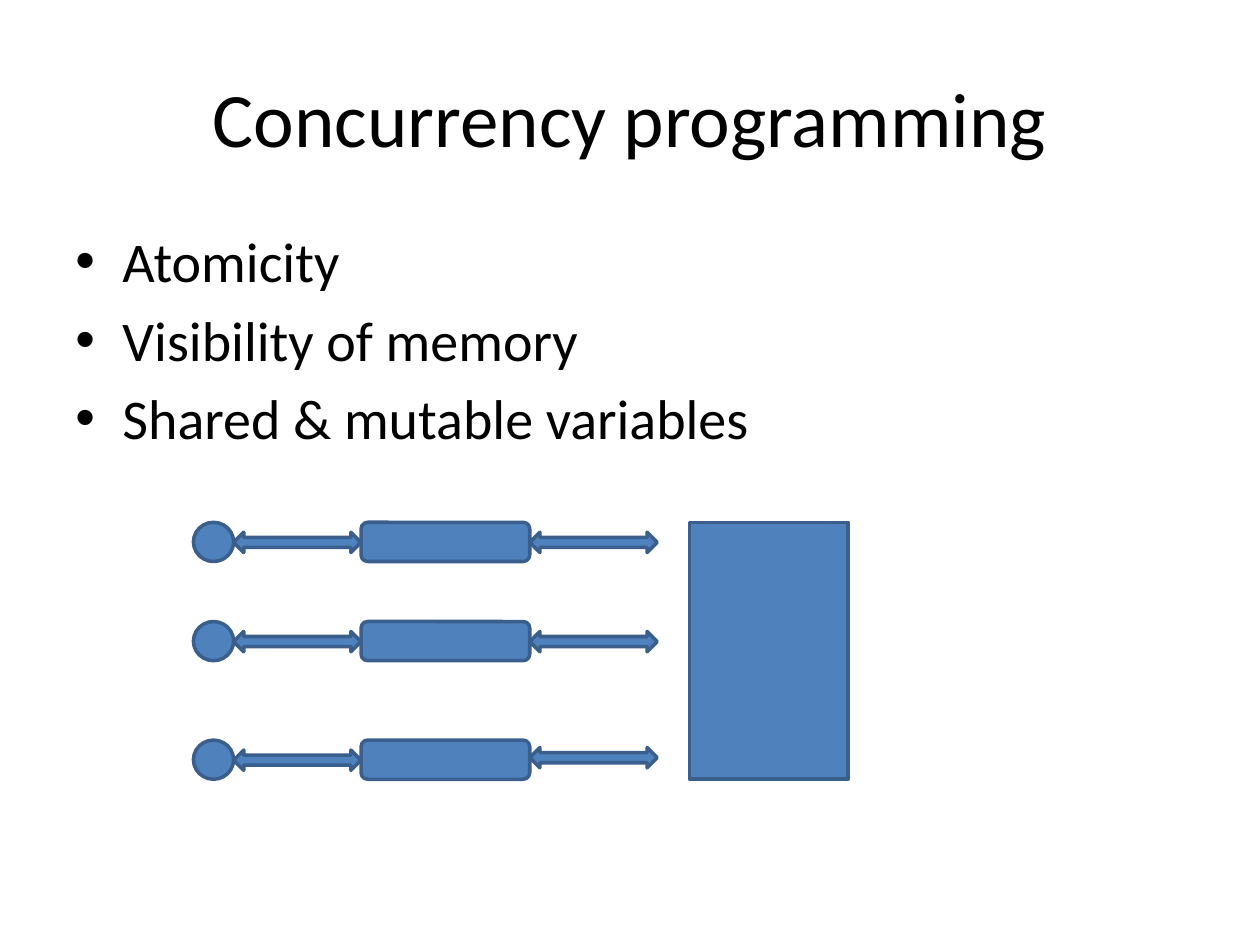
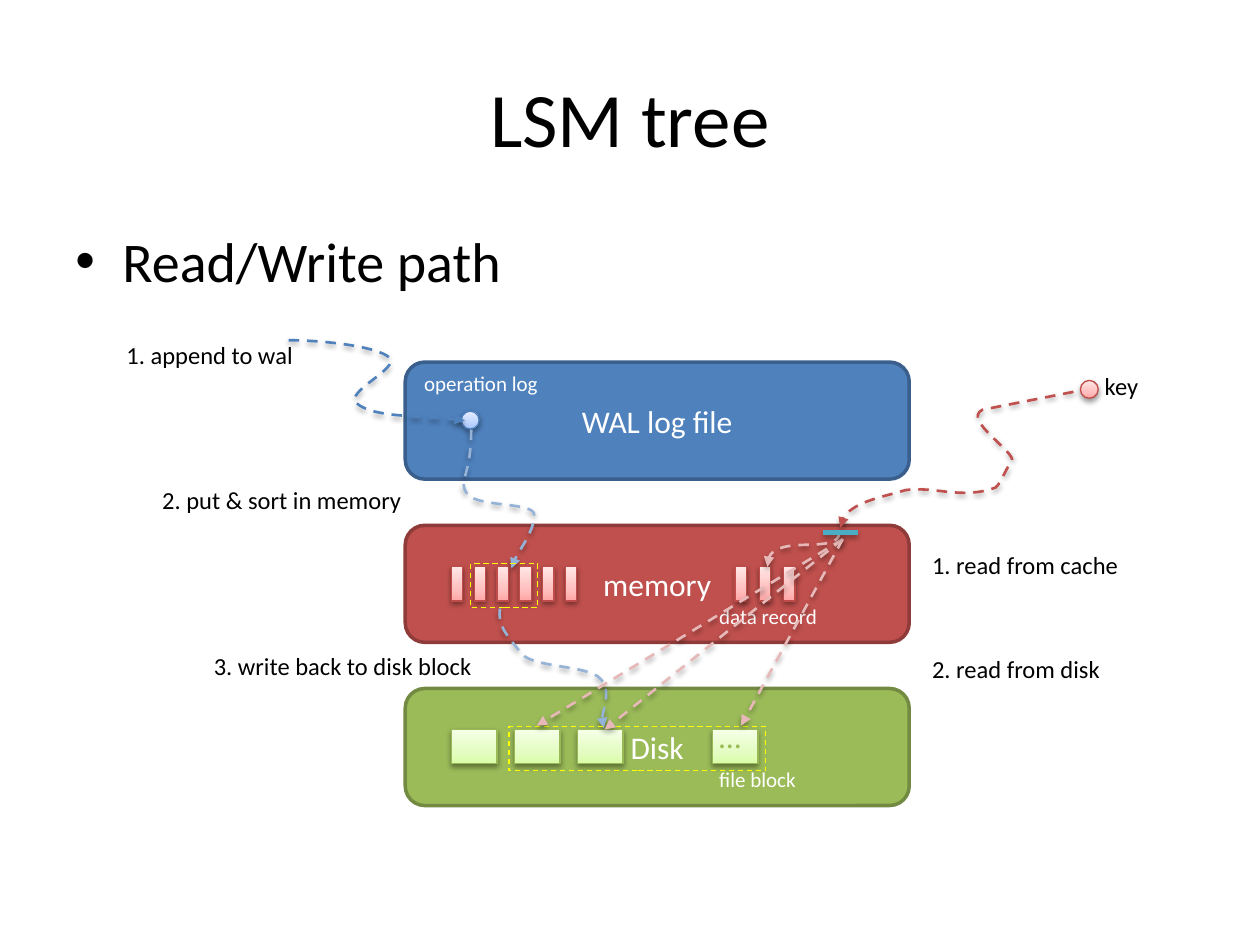
from copy import deepcopy

from lxml import etree
from pptx import Presentation
from pptx.dml.color import RGBColor
from pptx.enum.dml import MSO_LINE
from pptx.enum.shapes import MSO_CONNECTOR, MSO_SHAPE
from pptx.enum.text import MSO_ANCHOR, MSO_AUTO_SIZE, PP_ALIGN
from pptx.oxml.ns import qn
from pptx.util import Cm, Pt

RECT, ROUNDED, OVAL = MSO_SHAPE.RECTANGLE, MSO_SHAPE.ROUNDED_RECTANGLE, MSO_SHAPE.OVAL
DOUBLE_ARROW = MSO_SHAPE.LEFT_RIGHT_ARROW
STRAIGHT, DASH = MSO_CONNECTOR.STRAIGHT, MSO_LINE.DASH
CENTER, MIDDLE = PP_ALIGN.CENTER, MSO_ANCHOR.MIDDLE
FONT = "Calibri"

BLACK, WHITE, YELLOW, TEAL = "000000", "FFFFFF", "FFFF00", "4BACC6"
BLUE, RED, GREEN = "4F81BD", "C0504D", "9BBB59"
BLUE_EDGE, RED_EDGE, GREEN_EDGE = "3A5F8C", "8E3B39", "738A42"
PALE_BLUE, PALE_RED = "95B3D7", "E6B9B8"
# Gradient stops from bottom to top, then the outline
BLUE_GLOSS = (("A4C4FF", "BFD4FF", "E6EEFF"), "4B7EBC")
RED_GLOSS = (("FFA6A5", "FFC0BF", "FFE7E7"), "BF4C48")
GREEN_GLOSS = (("DAFDA7", "E4FCC2", "F5FFE7"), "98B955")
GLOSS_POSITIONS = (0, 0.35, 1)

# All places are in centimetres.
TITLE_BOX = (1.27, 0.76, 22.86, 3.18)
BULLETS_BOX = (1.27, 4.45, 22.86, 12.57)

CONCURRENCY = ("Concurrency programming",
               ["Atomicity", "Visibility of memory", "Shared & mutable variables"])
# Row top, drop of its left arrow, drop of its right arrow
THREAD_ROWS = [(10.53, 0.2, 0.2), (12.53, 0.2, 0.2), (14.92, 0.2, 0.15)]
ROW_HEIGHT = 0.79
THREAD_LEFT, THREAD_WIDTH = 3.9, 0.81
LOCAL_MEMORY_WIDTH = 3.4
ARROW_WIDTH, ARROW_HEIGHT = 2.57, 0.41
SHARED_MEMORY = (13.9, 10.53, 3.2, 5.18)

LSM = ("LSM tree", ["Read/Write path"])
LAYERS = [("WAL log file", BLUE, BLUE_EDGE), ("memory", RED, RED_EDGE),
          ("Disk", GREEN, GREEN_EDGE)]
LAYER_LEFT, LAYER_TOP, LAYER_PITCH = 8.17, 7.3, 3.29
LAYER_SIZE = (10.16, 2.36)

RECORD_TOP, RECORD_SIZE = 11.42, (0.23, 0.7)
RECORD_RUNS = [(9.1, 0.46, 6), (14.82, 0.49, 3)]  # left, pitch, count
BLOCK_TOP, BLOCK_SIZE = 14.71, (0.92, 0.69)
BLOCK_RUNS = [(9.1, 1.27, 3), (14.36, 0, 1)]
DOT_SIZE = (0.36, 0.36)
OPERATION_DOT, KEY_DOT = (9.3, 8.29), (21.78, 7.67)
SELECTIONS = [(9.49, 11.36, 1.35, 0.89), (10.26, 14.65, 5.18, 0.89)]
CACHE_MARK = (16.6, 10.73, 17.29, 10.73)

LABELS = [  # words, box, size, colour
    ("1. append to wal", (2.3, 6.73, 4.5, 1.02), 14, BLACK),
    ("2. put & sort in memory", (3.02, 9.65, 6.2, 1.02), 14, BLACK),
    ("3. write back to disk block", (4.06, 12.99, 6.63, 1.02), 14, BLACK),
    ("key", (22.02, 7.35, 1.37, 1.02), 14, BLACK),
    ("operation log", (8.3, 7.34, 3.33, 0.91), 12, WHITE),
    ("data record", (14.25, 12.04, 2.9, 0.91), 12, WHITE),
    ("file block", (14.25, 15.32, 2.39, 0.91), 12, WHITE),
    ("…", (14.25, 14.33, 1.09, 1.19), 18, GREEN),
    ("1. read from cache", (18.54, 10.96, 4.29, 0.86), 14, BLACK),
    ("2. read from disk", (18.54, 13.06, 3.91, 0.86), 14, BLACK),
]

# Colour, start, then steps: one point is straight, three are a Bézier curve
WRITE_PATHS = [
    (BLUE, (5.82, 6.86), [
        [(6.55, 6.86), (7.62, 6.99), (7.85, 7.21)],
        [(8.08, 7.42), (6.93, 7.9), (7.19, 8.13)],
        [(7.54, 8.43), (8.64, 8.36), (9.37, 8.48)]]),
    (PALE_BLUE, (9.5, 8.66), [
        [(9.5, 9.63), (9.22, 9.68), (9.42, 9.96)],
        [(9.65, 10.24), (10.8, 10.11), (10.77, 10.39)],
        [(10.77, 10.69), (10.29, 11.35), (10.31, 11.46)]]),
    (PALE_BLUE, (10.08, 12.27), [
        [(10.03, 12.6), (10.19, 12.78), (10.52, 13.18)],
        [(10.74, 13.46), (11.84, 13.41), (12.09, 13.67)],
        [(12.34, 13.92), (12.04, 14.55), (12.17, 14.68)]]),
]
DISK_READ_START = (16.99, 10.87)
DISK_READ_ENDS = [(10.82, 14.63), (12.19, 14.71), (14.94, 14.63)]
READ_PATHS = [
    (RED, (21.64, 7.9), [
        [(19.81, 8.26)],
        [(19.38, 8.46), (20.5, 9.12), (20.4, 9.3)],
        [(20.27, 9.45), (20.19, 9.73), (20.07, 9.83)],
        [(19.38, 10.08), (18.87, 9.8), (18.26, 9.88)],
        [(17.75, 10.03), (16.97, 10.16), (16.94, 10.64)]]),
    (PALE_RED, (16.92, 10.72), [[(16.94, 11.2), (15.42, 10.67), (15.47, 11.43)]]),
] + [(PALE_RED, DISK_READ_START, [[end]]) for end in DISK_READ_ENDS]


def rgb(colour):
    return RGBColor.from_string(colour)


def cm(values):
    return [Cm(value) for value in values]


def style_font(paragraph, size, colour):
    font = paragraph.font
    font.name, font.size, font.color.rgb = FONT, Pt(size), rgb(colour)


def style_line(shape, colour, width, dash=None):
    shape.line.color.rgb = rgb(colour)
    shape.line.width = Pt(width)
    if dash:
        shape.line.dash_style = dash


def add_shadow(shape, distance=1.6, opacity=38):
    effects = etree.SubElement(shape._element.spPr, qn("a:effectLst"))
    outer = etree.SubElement(effects, qn("a:outerShdw"), blurRad=str(Pt(3.1)),
                             dist=str(Pt(distance)), dir="5400000", rotWithShape="0")
    colour = etree.SubElement(outer, qn("a:srgbClr"), val=BLACK)
    etree.SubElement(colour, qn("a:alpha"), val=str(opacity * 1000))


def add_flat(slide, kind, box, fill, edge, width=2):
    shape = slide.shapes.add_shape(kind, *cm(box))
    shape.shadow.inherit = False
    if fill:
        shape.fill.solid()
        shape.fill.fore_color.rgb = rgb(fill)
    else:
        shape.fill.background()
    style_line(shape, edge, width)
    return shape


def add_glossy(slide, kind, place, size, gloss):
    """Add a small shape with a three-stop vertical gradient and a shadow."""
    colours, edge = gloss
    shape = slide.shapes.add_shape(kind, *cm(place + size))
    shape.fill.gradient()
    shape.fill.gradient_angle = 90
    stops = shape._element.spPr.find(".//" + qn("a:gsLst"))
    stops.append(deepcopy(stops[0]))
    for stop, colour, position in zip(shape.fill.gradient_stops, colours, GLOSS_POSITIONS):
        stop.color.rgb = rgb(colour)
        stop.position = position
    style_line(shape, edge, 0.75)
    add_shadow(shape)


def add_glossy_runs(slide, runs, top, size, gloss):
    for left, pitch, count in runs:
        for index in range(count):
            add_glossy(slide, RECT, (left + index * pitch, top), size, gloss)


def bend_segments(freeform, steps):
    """Turn the straight segments of three-point steps into Bézier curves."""
    segments = list(freeform._element.iter(qn("a:lnTo")))
    for segment, step in zip(segments, steps):
        if len(step) == 3:
            curve = etree.Element(qn("a:cubicBezTo"))
            for x, y in map(cm, step):
                etree.SubElement(curve, qn("a:pt"), x=str(x - freeform.left),
                                 y=str(y - freeform.top))
            segment.getparent().replace(segment, curve)


def add_dashed_arrow(slide, colour, start, steps):
    builder = slide.shapes.build_freeform(*cm(start))
    builder.add_line_segments([cm(step[-1]) for step in steps], close=False)
    arrow = builder.convert_to_shape()
    bend_segments(arrow, steps)
    arrow.fill.background()
    style_line(arrow, colour, 1.5, DASH)
    etree.SubElement(arrow.line._get_or_add_ln(), qn("a:tailEnd"), type="triangle")
    add_shadow(arrow)


def add_label(slide, words, box, size, colour):
    label = slide.shapes.add_textbox(*cm(box)).text_frame
    label.word_wrap = False
    label.auto_size = MSO_AUTO_SIZE.SHAPE_TO_FIT_TEXT
    label.text = words
    style_font(label.paragraphs[0], size, colour)


def add_bullets(slide, items):
    frame = slide.shapes.add_textbox(*cm(BULLETS_BOX)).text_frame
    frame.word_wrap = True
    frame.text = "\n".join(items)
    for paragraph in frame.paragraphs:
        style_font(paragraph, 32, BLACK)
        properties = paragraph._p.get_or_add_pPr()
        properties.set("marL", str(Cm(0.95)))
        properties.set("indent", str(-Cm(0.95)))
        # Schema order: spacing, bullet font and bullet come before the font defaults
        spacing = etree.Element(qn("a:spcBef"))
        etree.SubElement(spacing, qn("a:spcPct"), val="20000")
        bullet_font = etree.Element(qn("a:buFont"), typeface="Arial")
        bullet = etree.Element(qn("a:buChar"), char="•")
        for position, part in enumerate((spacing, bullet_font, bullet)):
            properties.insert(position, part)


def add_titled_slide(deck, title, items):
    slide = deck.slides.add_slide(deck.slide_layouts[5])
    heading = slide.shapes.title
    heading.left, heading.top, heading.width, heading.height = cm(TITLE_BOX)
    heading.text_frame.text = title
    heading.text_frame.vertical_anchor = MIDDLE
    heading.text_frame.paragraphs[0].alignment = CENTER
    style_font(heading.text_frame.paragraphs[0], 44, BLACK)
    add_bullets(slide, items)
    return slide


def build_concurrency(deck):
    slide = add_titled_slide(deck, *CONCURRENCY)
    left_arrow = THREAD_LEFT + THREAD_WIDTH
    local_memory = left_arrow + ARROW_WIDTH
    right_arrow = local_memory + LOCAL_MEMORY_WIDTH
    for top, left_drop, right_drop in THREAD_ROWS:
        parts = [
            (OVAL, (THREAD_LEFT, top, THREAD_WIDTH, ROW_HEIGHT)),
            (ROUNDED, (local_memory, top, LOCAL_MEMORY_WIDTH, ROW_HEIGHT)),
            (DOUBLE_ARROW, (left_arrow, top + left_drop, ARROW_WIDTH, ARROW_HEIGHT)),
            (DOUBLE_ARROW, (right_arrow, top + right_drop, ARROW_WIDTH, ARROW_HEIGHT)),
        ]
        for kind, box in parts:
            add_flat(slide, kind, box, BLUE, BLUE_EDGE)
    add_flat(slide, RECT, SHARED_MEMORY, BLUE, BLUE_EDGE)


def build_lsm(deck):
    slide = add_titled_slide(deck, *LSM)
    for index, (name, fill, edge) in enumerate(LAYERS):
        box = (LAYER_LEFT, LAYER_TOP + index * LAYER_PITCH) + LAYER_SIZE
        frame = add_flat(slide, ROUNDED, box, fill, edge).text_frame
        frame.text = name
        frame.vertical_anchor = MIDDLE
        frame.paragraphs[0].alignment = CENTER
        style_font(frame.paragraphs[0], 18, WHITE)

    add_glossy_runs(slide, RECORD_RUNS, RECORD_TOP, RECORD_SIZE, RED_GLOSS)
    add_glossy_runs(slide, BLOCK_RUNS, BLOCK_TOP, BLOCK_SIZE, GREEN_GLOSS)
    add_glossy(slide, OVAL, OPERATION_DOT, DOT_SIZE, BLUE_GLOSS)
    add_glossy(slide, OVAL, KEY_DOT, DOT_SIZE, RED_GLOSS)
    for route in WRITE_PATHS:
        add_dashed_arrow(slide, *route)
    for box in SELECTIONS:
        add_flat(slide, RECT, box, None, YELLOW, 0.75).line.dash_style = DASH
    for label in LABELS:
        add_label(slide, *label)
    for route in READ_PATHS:
        add_dashed_arrow(slide, *route)

    cache_mark = slide.shapes.add_connector(STRAIGHT, *cm(CACHE_MARK))
    style_line(cache_mark, TEAL, 3)
    add_shadow(cache_mark, 1.8, 35)


def main():
    deck = Presentation()
    deck.slide_width, deck.slide_height = Cm(25.4), Cm(19.05)
    build_concurrency(deck)
    build_lsm(deck)
    deck.save("out.pptx")


if __name__ == "__main__":
    main()
